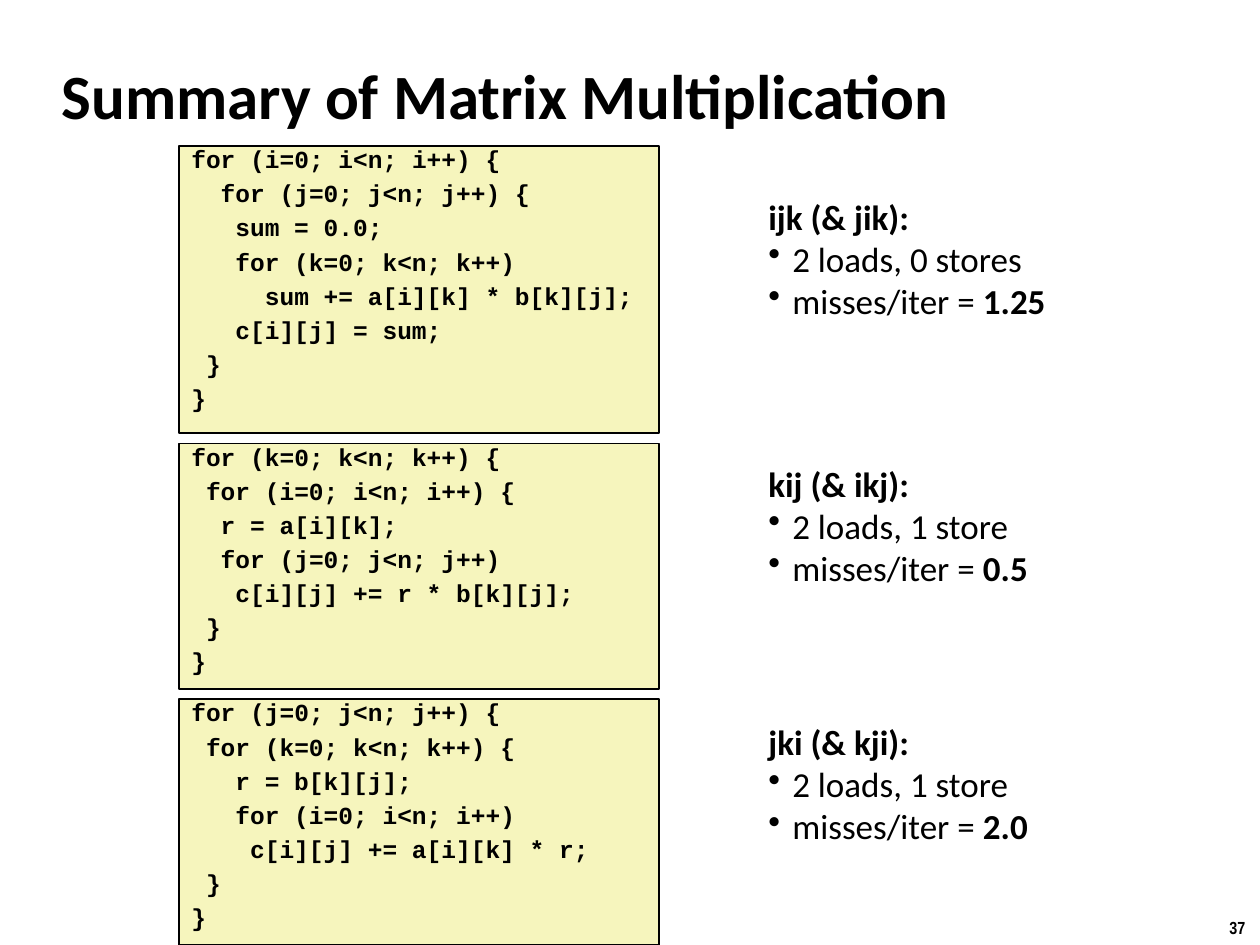
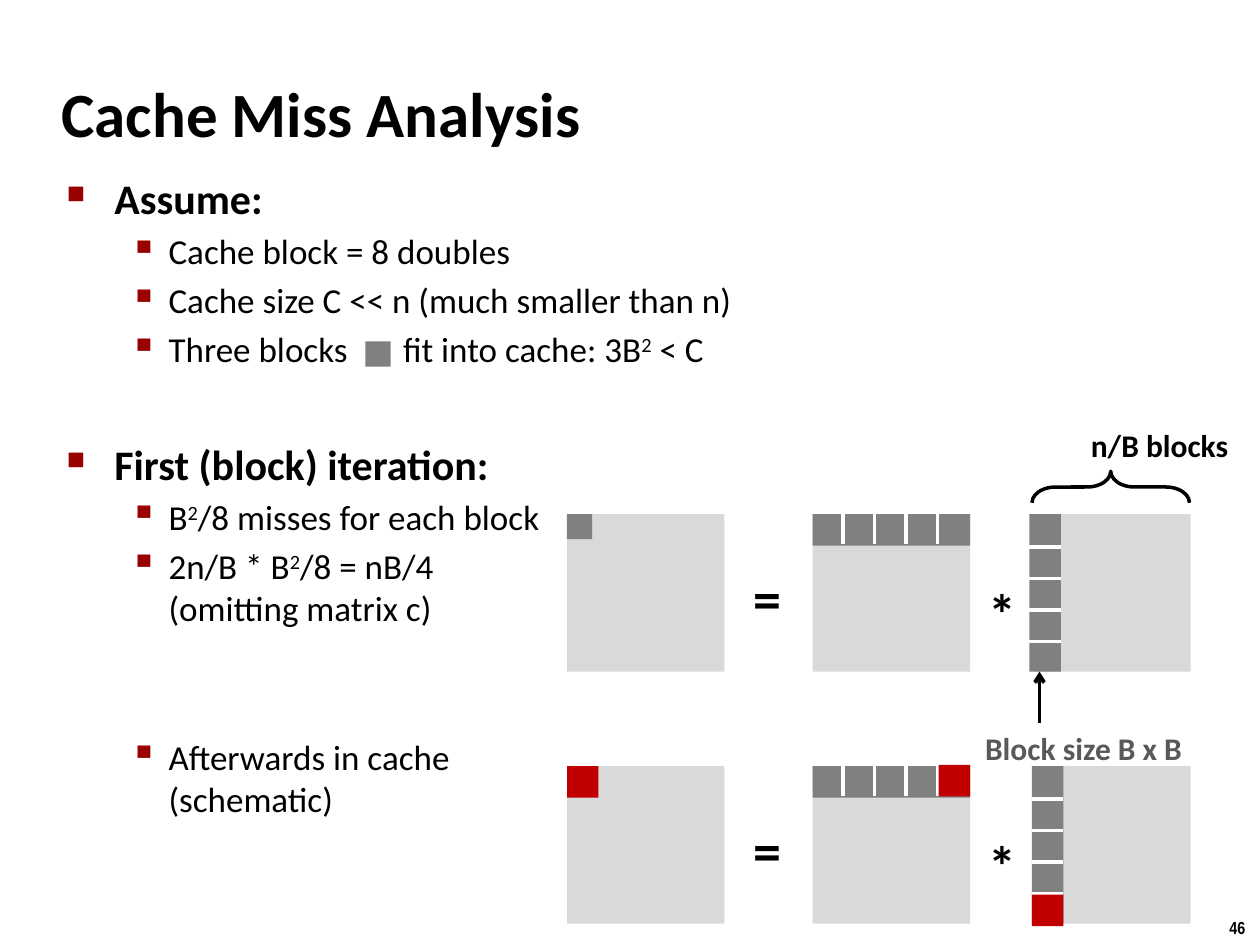
from lxml.etree import SubElement
from pptx import Presentation
from pptx.dml.color import RGBColor
from pptx.enum.shapes import MSO_CONNECTOR, MSO_SHAPE
from pptx.enum.text import MSO_ANCHOR
from pptx.oxml.ns import qn
from pptx.util import Inches, Pt

BLACK = RGBColor(0x00, 0x00, 0x00)
WHITE = RGBColor(0xFF, 0xFF, 0xFF)
CODE_FILL = RGBColor(0xF6, 0xF5, 0xBD)
MATRIX_GRAY = RGBColor(0xD9, 0xD9, 0xD9)
BLOCK_GRAY = RGBColor(0x80, 0x80, 0x80)
LABEL_GRAY = RGBColor(0x59, 0x59, 0x59)
CACHED_RED = RGBColor(0xC0, 0x00, 0x00)
BULLET_RED = RGBColor(0x99, 0x00, 0x00)

BODY_FONT = "Calibri"
CODE_FONT = "Courier New"
NUMBER_FONT = "Arial Narrow"
CODE_SIZE = 14
CODE_CHAR_WIDTH = 0.6 * CODE_SIZE

MATRIX_SIDE = 1.25
BLOCK_SIDE = 0.25
BLOCK_COUNT = 5

LOOP_ORDERS = [
    (1.16, 2.28, 1.5, """for (i=0; i<n; i++) {
  for (j=0; j<n; j++) {
   sum = 0.0;
   for (k=0; k<n; k++)
     sum += a[i][k] * b[k][j];
   c[i][j] = sum;
 }
}""", "ijk (& jik):", "2 loads, 0 stores", "1.25"),
    (3.52, 1.95, 3.62, """for (k=0; k<n; k++) {
 for (i=0; i<n; i++) {
  r = a[i][k];
  for (j=0; j<n; j++)
   c[i][j] += r * b[k][j];
 }
}""", "kij (& ikj):", "2 loads, 1 store", "0.5"),
    (5.55, 1.95, 5.67, """for (j=0; j<n; j++) {
 for (k=0; k<n; k++) {
   r = b[k][j];
   for (i=0; i<n; i++)
    c[i][j] += a[i][k] * r;
 }
}""", "jki (& kji):", "2 loads, 1 store", "2.0"),
]

OUTLINE = [
    (0, 4.8, ["Assume:"]),
    (1, 4, ["Cache block = 8 doubles"]),
    (1, 4, ["Cache size C << n (much smaller than n)"]),
    (1, 4, ["Three blocks", " ", "fit into cache: 3B", "2", " < C"]),
    (0, 39, ["First (block) iteration:"]),
    (1, 4, ["B", "2", "/8 misses for each block"]),
    (1, 4, ["2n/B * B", "2", "/8 = nB/4", "\n", "(omitting matrix c)"]),
    (1, 61, ["Afterwards in cache", "\n", "(schematic)"]),
]
OUTLINE_LEVELS = [
    {"size": 24, "bold": True, "indent": 0.38, "hang": 0.38, "bullet": "■", "percent": 60},
    {"size": 20, "bold": False, "indent": 0.81, "hang": 0.31, "bullet": "▪", "percent": 110},
]


def style_font(font, size, color=BLACK, bold=True, name=BODY_FONT):
    font.name = name
    font.size = Pt(size)
    font.bold = bold
    font.color.rgb = color


def add_text_box(page, left, top, width, height, wrap=True):
    box = page.shapes.add_textbox(Inches(left), Inches(top), Inches(width), Inches(height))
    box.text_frame.word_wrap = wrap
    return box


def add_label(page, left, top, width, height, text, size, color=BLACK, name=BODY_FONT):
    box = add_text_box(page, left, top, width, height, wrap=False)
    box.text_frame.text = text
    style_font(box.text_frame.paragraphs[0].runs[0].font, size, color, name=name)
    return box


def add_rectangle(page, left, top, width, height, fill):
    box = page.shapes.add_shape(
        MSO_SHAPE.RECTANGLE, Inches(left), Inches(top), Inches(width), Inches(height))
    box.shadow.inherit = False
    box.fill.solid()
    box.fill.fore_color.rgb = fill
    box.line.fill.background()
    return box


def add_line(page, start_x, start_y, end_x, end_y, color):
    line = page.shapes.add_connector(
        MSO_CONNECTOR.STRAIGHT, Inches(start_x), Inches(start_y), Inches(end_x), Inches(end_y))
    line.line.color.rgb = color
    line.line.width = Pt(2)
    SubElement(line.element.spPr, qn("a:effectLst"))
    return line


def set_bullet(para, char, indent, hang, color=None, percent=100):
    props = para._p.get_or_add_pPr()
    props.set("marL", str(Inches(indent)))
    props.set("indent", str(-Inches(hang)))
    if color is not None:
        SubElement(SubElement(props, qn("a:buClr")), qn("a:srgbClr")).set("val", str(color))
    SubElement(props, qn("a:buSzPct")).set("val", str(percent * 1000))
    SubElement(props, qn("a:buChar")).set("char", char)


def add_page(deck, title, title_top, number):
    page = deck.slides.add_slide(deck.slide_layouts[6])
    add_label(page, 9.66, 7.23, 0.34, 0.27, number, 10, name=NUMBER_FONT)
    box = add_text_box(page, 0.39, title_top, 8.3, 0.83)
    box.text_frame.vertical_anchor = MSO_ANCHOR.MIDDLE
    box.text_frame.text = title
    style_font(box.text_frame.paragraphs[0].runs[0].font, 36)
    return page


def add_code(page, left, top, width, height, code):
    box = add_rectangle(page, left, top, width, height, CODE_FILL)
    box.line.color.rgb = BLACK
    box.line.width = Pt(1)
    frame = box.text_frame
    frame.word_wrap = True
    frame.vertical_anchor = MSO_ANCHOR.TOP
    lines = code.split("\n")
    frame.text = "\n".join(line.lstrip() for line in lines)
    for para, line in zip(frame.paragraphs, lines):
        depth = len(line) - len(line.lstrip())
        props = para._p.get_or_add_pPr()
        props.set("marL", str(Pt(depth * CODE_CHAR_WIDTH)))
        props.set("indent", "0")
        props.set("algn", "l")
        para.line_spacing = 0.7
        para.space_before = Pt(7.7)
        style_font(para.runs[0].font, CODE_SIZE, name=CODE_FONT)


def add_cost_note(page, left, top, heading, accesses, misses):
    frame = add_text_box(page, left, top, 2.54, 1.11).text_frame
    frame.text = "\n".join([heading, accesses, "misses/iter = "])
    for index, para in enumerate(frame.paragraphs):
        style_font(para.runs[0].font, 20, bold=index == 0)
        if index > 0:
            set_bullet(para, "•", 0.19, 0.19)
    span = frame.paragraphs[-1].add_run()
    span.text = misses
    style_font(span.font, 20)


def add_outline(page, left, top, width, height):
    frame = add_text_box(page, left, top, width, height).text_frame
    for index, (depth, gap, pieces) in enumerate(OUTLINE):
        level = OUTLINE_LEVELS[depth]
        para = frame.add_paragraph() if index else frame.paragraphs[0]
        para.level = depth
        para.space_before = Pt(gap)
        set_bullet(para, level["bullet"], level["indent"], level["hang"],
                   BULLET_RED, level["percent"])
        for piece in pieces:
            if piece == "\n":
                para.add_line_break()
                continue
            span = para.add_run()
            span.text = piece
            style_font(span.font, level["size"], bold=level["bold"])
            if piece == "2":
                span.font._element.set("baseline", "30000")
            elif piece == " ":
                span.font._element.set("spc", "2700")


def add_product(page, left, top, column_shift, result_side, result_color):
    row_left = left + 1.95
    factor_left = left + 3.7
    column_left = factor_left + column_shift
    for matrix_left in (left, row_left, factor_left):
        add_rectangle(page, matrix_left, top, MATRIX_SIDE, MATRIX_SIDE, MATRIX_GRAY)
    add_label(page, left + 1.38, top + 0.34, 0.43, 0.64, "=", 32)
    add_label(page, left + 3.25, top + 0.46, 0.43, 0.64, "*", 32)
    add_rectangle(page, left, top, result_side, result_side, result_color)
    add_rectangle(page, row_left, top, MATRIX_SIDE, BLOCK_SIDE, BLOCK_GRAY)
    add_rectangle(page, column_left, top, BLOCK_SIDE, MATRIX_SIDE, BLOCK_GRAY)
    for index in range(1, BLOCK_COUNT):
        cut_x = row_left + index * BLOCK_SIDE - 0.01
        cut_y = top + index * BLOCK_SIDE + 0.01
        add_line(page, cut_x, top - 0.01, cut_x, top + 0.24, WHITE)
        add_line(page, column_left + BLOCK_SIDE, cut_y, column_left, cut_y, WHITE)


def add_cached_blocks(page, left, top):
    for block_left, block_top in ((left + 2.95, top - 0.01), (left + 3.69, top + 1.02)):
        add_rectangle(page, block_left, block_top, BLOCK_SIDE, BLOCK_SIDE, CACHED_RED)


def add_block_labels(page, left, top):
    add_label(page, left - 0.48, top + 1.66, 1.78, 0.4, "Block size B x B", 18, LABEL_GRAY)
    arrow = add_line(page, left + 0.05, top + 1.66, left + 0.05, top + 1.25, BLACK)
    SubElement(arrow.line._get_or_add_ln(), qn("a:tailEnd")).set("type", "arrow")
    brace = page.shapes.add_shape(
        MSO_SHAPE.LEFT_BRACE, Inches(left + 0.49), Inches(top - 0.84),
        Inches(BLOCK_SIDE), Inches(MATRIX_SIDE))
    brace.rotation = 90
    brace.adjustments[0] = 0.75
    brace.shadow.inherit = False
    brace.fill.background()
    brace.line.color.rgb = BLACK
    brace.line.width = Pt(2)
    add_label(page, left + 0.36, top - 0.75, 1.3, 0.4, "n/B blocks", 18)


def build_summary(deck):
    page = add_page(deck, "Summary of Matrix Multiplication", 0.33, "37")
    for code_top, code_height, note_top, code, heading, accesses, misses in LOOP_ORDERS:
        add_code(page, 1.42, code_top, 3.81, code_height, code)
        add_cost_note(page, 6, note_top, heading, accesses, misses)


def build_analysis(deck):
    page = add_page(deck, "Cache Miss Analysis", 0.48, "46")
    add_outline(page, 0.43, 1.32, 8.64, 5.3)
    add_rectangle(page, 2.9, 2.71, 0.2, 0.2, BLOCK_GRAY)
    add_product(page, 4.5, 6.08, -0.01, BLOCK_SIDE, CACHED_RED)
    add_cached_blocks(page, 4.5, 6.08)
    add_product(page, 4.5, 4.08, -0.03, 0.2, BLOCK_GRAY)
    add_block_labels(page, 8.2, 4.08)


def main():
    deck = Presentation()
    deck.slide_width = Inches(10)
    deck.slide_height = Inches(7.5)
    build_summary(deck)
    build_analysis(deck)
    deck.save("out.pptx")


if __name__ == "__main__":
    main()
